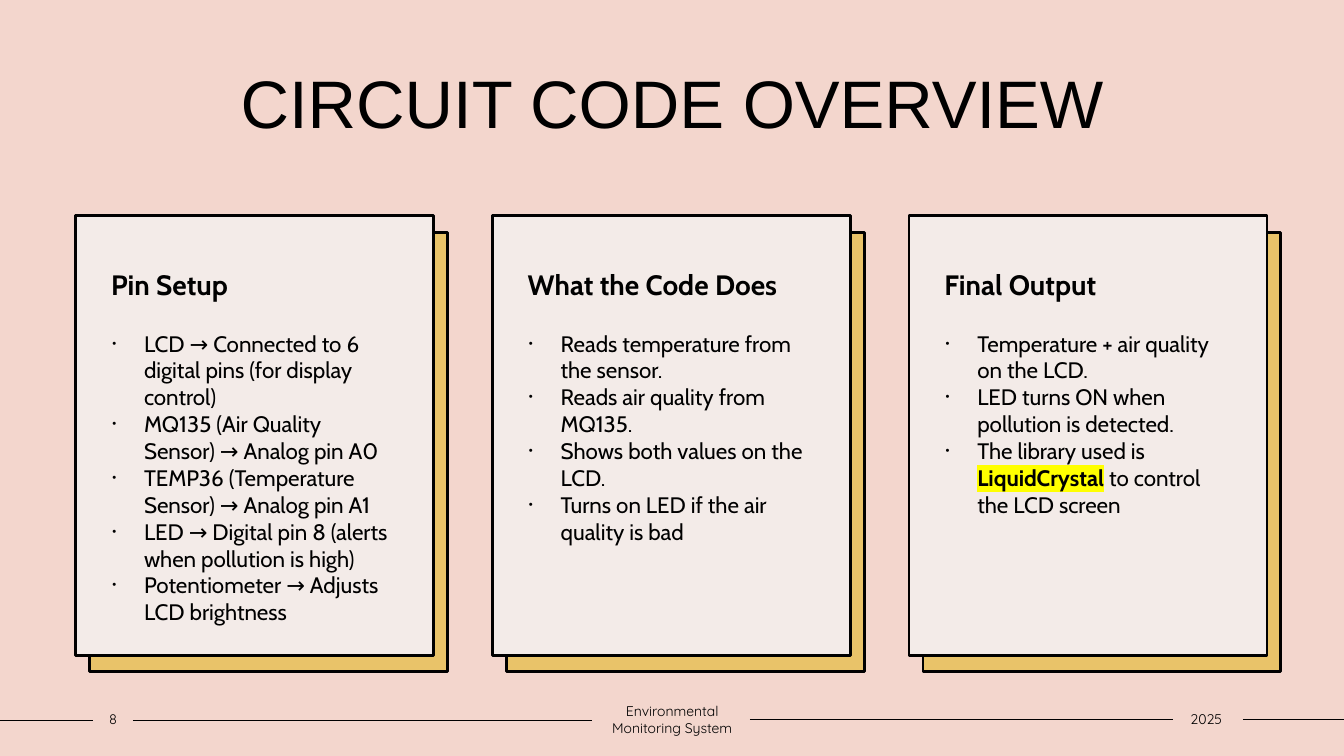
from typing import NamedTuple

from lxml.etree import SubElement
from pptx import Presentation
from pptx.dml.color import RGBColor
from pptx.enum.shapes import MSO_CONNECTOR as Link, MSO_SHAPE as Form
from pptx.enum.text import MSO_ANCHOR as Anchor, PP_ALIGN as Align
from pptx.oxml.ns import qn
from pptx.util import Cm, Pt

HUES = {
    "page": "F3D6CD",
    "card": "F3EBE8",
    "gold": "E9C369",
    "ink": "000000",
    "mark": "FFFF00",
}
WIDE, HIGH = 33.87, 19.05
CARD_X, CARD_Y, CARD_W, CARD_H = 1.91, 5.44, 9.02, 11.07
STEP = 10.5
PAD = (0.25, 0.13, 0.25, 0.13)


class Card(NamedTuple):
    head: str
    items: list[str]
    key: str = ""


class Foot(NamedTuple):
    text: str
    left: float
    width: float


class Rule(NamedTuple):
    start: float
    end: float
    y: float


CARDS = [
    Card("Pin Setup", [
        "LCD → Connected to 6 digital pins (for display control)",
        "MQ135 (Air Quality Sensor) → Analog pin A0",
        "TEMP36 (Temperature Sensor) → Analog pin A1",
        "LED → Digital pin 8 (alerts when pollution is high)",
        "Potentiometer → Adjusts LCD brightness",
    ]),
    Card("What the Code Does", [
        "Reads temperature from the sensor.",
        "Reads air quality from MQ135.",
        "Shows both values on the LCD.",
        "Turns on LED if the air quality is bad",
    ]),
    Card("Final Output", [
        "Temperature + air quality on the LCD.",
        "LED turns ON when pollution is detected.",
        "The library used is LiquidCrystal to control the LCD screen",
    ], key="LiquidCrystal"),
]
FEET = [
    Foot("8", 2.34, 1.02),
    Foot("Environmental Monitoring System", 14.91, 4.06),
    Foot("2025", 29.51, 1.78),
]
RULES = [
    Rule(0, 2.34, 18.16),
    Rule(3.35, 14.91, 18.16),
    Rule(18.9, 29.57, 18.13),
    Rule(31.32, WIDE, 18.13),
]


def tint(name: str) -> RGBColor:
    return RGBColor.from_string(HUES[name])


def dot(para) -> None:
    """Give a paragraph a half-size bullet and a hanging indent."""
    props = para._p.get_or_add_pPr()
    props.set("marL", str(Cm(0.8)))
    props.set("indent", str(-Cm(0.8)))
    SubElement(props, qn("a:buSzPct"), val="50000")
    SubElement(props, qn("a:buFont"), typeface="Arial")
    SubElement(props, qn("a:buChar"), char="•")


def glow(run) -> None:
    """Make a run bold on a highlighted ground."""
    run.font.bold = True
    props = run._r.get_or_add_rPr()
    mark = SubElement(props, qn("a:highlight"))
    SubElement(mark, qn("a:srgbClr"), val=HUES["mark"])
    props.find(qn("a:solidFill")).addnext(mark)


def write(shape, lines: list[str], *, font: str = "Cabin", size: float = 16,
          bold: bool = False, align=Align.LEFT, anchor=Anchor.TOP,
          pad: tuple = PAD, pitch: float = 1, dots: bool = False,
          key: str = "") -> None:
    frame = shape.text_frame
    frame.word_wrap = True
    frame.vertical_anchor = anchor
    (frame.margin_left, frame.margin_top,
     frame.margin_right, frame.margin_bottom) = map(Cm, pad)
    for i, line in enumerate(lines):
        para = frame.add_paragraph() if i else frame.paragraphs[0]
        if dots:
            dot(para)
        para.alignment = align
        para.line_spacing = pitch
        parts = line.partition(key) if key else (line,)
        for part in filter(None, parts):
            run = para.add_run()
            run.text = part
            run.font.name = font
            run.font.size = Pt(size)
            run.font.bold = bold
            run.font.color.rgb = tint("ink")
            if part == key:
                glow(run)


def area(slide, x: float, y: float, w: float, h: float):
    return slide.shapes.add_textbox(Cm(x), Cm(y), Cm(w), Cm(h))


def panel(slide, x: float, y: float, hue: str):
    shape = slide.shapes.add_shape(
        Form.RECTANGLE, Cm(x), Cm(y), Cm(CARD_W), Cm(CARD_H))
    shape.shadow.inherit = False
    shape.fill.solid()
    shape.fill.fore_color.rgb = tint(hue)
    shape.line.color.rgb = tint("ink")
    shape.line.width = Pt(2)
    return shape


def draw_card(slide, card: Card, x: float) -> None:
    panel(slide, x + 0.35, CARD_Y + 0.41, "gold")
    front = panel(slide, x, CARD_Y, "card")
    write(front, [card.head], size=20, bold=True, pitch=0.9,
          pad=(0.89, 1.4, 0.25, 0.13))
    write(area(slide, x + 0.67, 8.18, 7.62, 7.75), card.items,
          dots=True, key=card.key)


def draw_rule(slide, rule: Rule) -> None:
    line = slide.shapes.add_connector(
        Link.STRAIGHT, Cm(rule.start), Cm(rule.y), Cm(rule.end), Cm(rule.y))
    line.line.color.rgb = tint("ink")
    line.line.width = Pt(1)
    SubElement(line._element.spPr, qn("a:effectLst"))


def main() -> None:
    deck = Presentation()
    deck.slide_width, deck.slide_height = Cm(WIDE), Cm(HIGH)
    slide = deck.slides.add_slide(deck.slide_layouts[6])
    slide.background.fill.solid()
    slide.background.fill.fore_color.rgb = tint("page")

    for rule in RULES:
        draw_rule(slide, rule)
    write(area(slide, 3.18, 1.27, 27.53, 2.82), ["CIRCUIT CODE OVERVIEW"],
          font="Arial", size=48, align=Align.CENTER, anchor=Anchor.MIDDLE,
          pitch=0.9)
    for i, card in enumerate(CARDS):
        draw_card(slide, card, CARD_X + i * STEP)
    for foot in FEET:
        write(area(slide, foot.left, 17.78, foot.width, 0.69), [foot.text],
              font="Quicksand", size=10, align=Align.CENTER,
              anchor=Anchor.MIDDLE, pad=(0, 0.13, 0, 0.13))
    deck.save("out.pptx")


if __name__ == "__main__":
    main()
